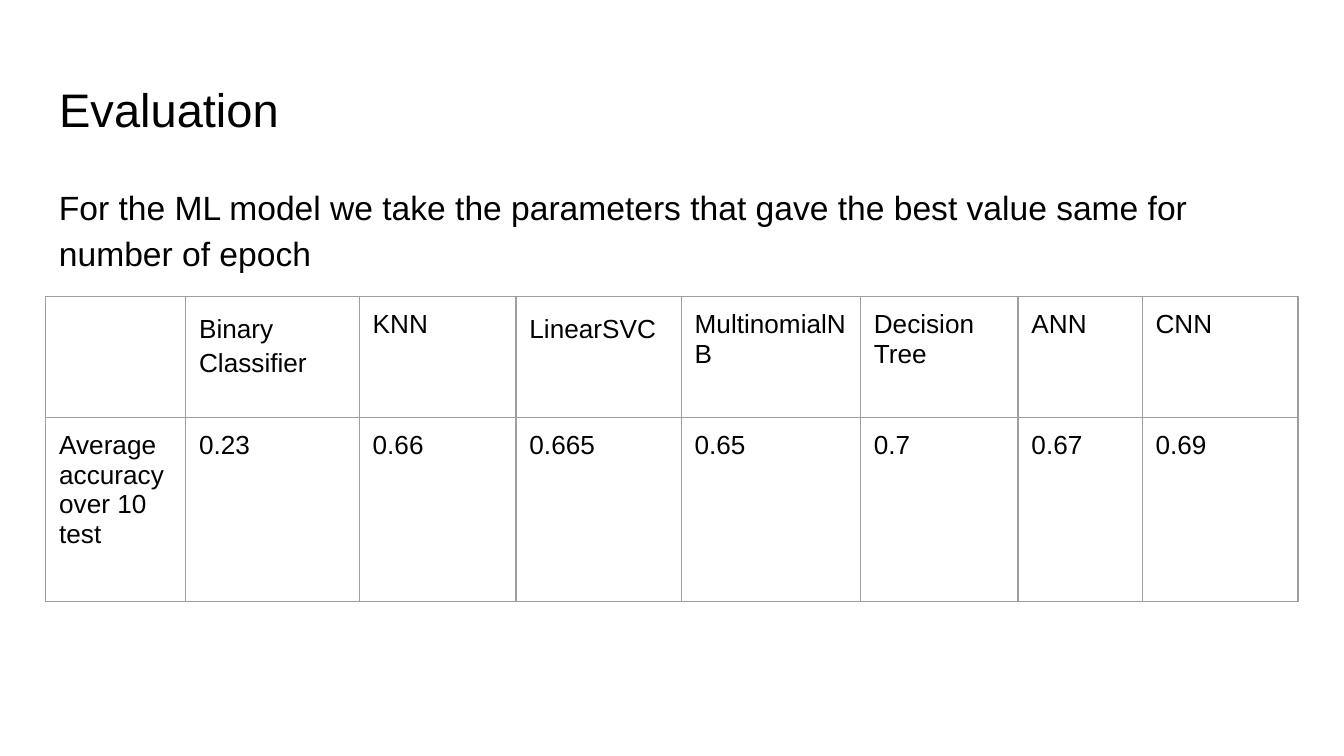
from dataclasses import dataclass

from lxml import etree
from pptx import Presentation
from pptx.dml.color import RGBColor
from pptx.enum.text import MSO_ANCHOR, MSO_AUTO_SIZE, PP_ALIGN
from pptx.oxml.ns import qn
from pptx.util import Pt

TOP = MSO_ANCHOR.TOP
BOTTOM = MSO_ANCHOR.BOTTOM
LEFT = PP_ALIGN.LEFT
NO_FIT = MSO_AUTO_SIZE.NONE
TITLE_ONLY = 5


@dataclass(frozen=True)
class Theme:
    font: str = "Arial"
    ink: str = "000000"
    rule: str = "9E9E9E"
    rule_width: float = 0.75
    title: float = 25.2
    body: float = 18
    cell: float = 14
    inset: float = 7.2
    loose: float = 1.15


class Deck:
    def __init__(self, theme):
        self.theme = theme
        self.show = Presentation()
        self.show.slide_width = Pt(720)
        self.show.slide_height = Pt(405)
        layout = self.show.slide_layouts[TITLE_ONLY]
        self.slide = self.show.slides.add_slide(layout)

    def add_run(self, para, text, size):
        para.alignment = LEFT
        run = para.add_run()
        run.text = text
        run.font.name = self.theme.font
        run.font.size = Pt(size)
        run.font.color.rgb = RGBColor.from_string(self.theme.ink)

    def pad(self, box):
        box.margin_left = box.margin_right = Pt(self.theme.inset)
        box.margin_top = box.margin_bottom = Pt(self.theme.inset)

    def frame(self, shape, anchor):
        frame = shape.text_frame
        frame.word_wrap = True
        frame.auto_size = NO_FIT
        frame.vertical_anchor = anchor
        self.pad(frame)
        return frame.paragraphs[0]

    def title(self, text, left, top, width, height):
        shape = self.slide.shapes.title
        shape.left, shape.top = Pt(left), Pt(top)
        shape.width, shape.height = Pt(width), Pt(height)
        self.add_run(self.frame(shape, BOTTOM), text, self.theme.title)

    def text(self, text, left, top, width, height):
        shape = self.slide.shapes.add_textbox(
            Pt(left), Pt(top), Pt(width), Pt(height)
        )
        para = self.frame(shape, TOP)
        para.line_spacing = self.theme.loose
        self.add_run(para, text, self.theme.body)

    def border(self, cell):
        props = cell._tc.get_or_add_tcPr()
        for index, side in enumerate(("lnL", "lnR", "lnT", "lnB")):
            line = etree.Element(qn(f"a:{side}"), w=str(Pt(self.theme.rule_width)))
            fill = etree.SubElement(line, qn("a:solidFill"))
            etree.SubElement(fill, qn("a:srgbClr"), val=self.theme.rule)
            props.insert(index, line)

    def table(self, rows, widths, heights, left, top, loose):
        table = self.slide.shapes.add_table(
            len(heights), len(widths),
            Pt(left), Pt(top), Pt(sum(widths)), Pt(sum(heights)),
        ).table
        table.first_row = False
        table.horz_banding = False
        for column, width in zip(table.columns, widths):
            column.width = Pt(width)
        for row, height, texts in zip(table.rows, heights, rows):
            row.height = Pt(height)
            for cell, text in zip(row.cells, texts):
                self.cell(cell, text, text in loose)

    def cell(self, cell, text, loose):
        self.pad(cell)
        cell.vertical_anchor = TOP
        cell.fill.background()
        self.border(cell)
        frame = cell.text_frame
        for index, line in enumerate(text.splitlines()):
            para = frame.add_paragraph() if index else frame.paragraphs[0]
            if loose:
                para.line_spacing = self.theme.loose
                para.space_after = Pt(12)
            self.add_run(para, line, self.theme.cell)


def main():
    deck = Deck(Theme())
    left, width = 24.5, 671
    deck.title("Evaluation", left, 35, width, 45.5)
    deck.text(
        "For the ML model we take the parameters that gave the best value "
        "same for number of epoch",
        left, 89.5, width, 269,
    )
    models = [
        "", "Binary Classifier", "KNN", "LinearSVC",
        "MultinomialNB", "Decision\nTree", "ANN", "CNN",
    ]
    scores = [
        "Average accuracy over 10 test",
        "0.23", "0.66", "0.665", "0.65", "0.7", "0.67", "0.69",
    ]
    deck.table(
        [models, scores],
        [75, 93, 84, 88.5, 96, 84.5, 66.5, 83.5],
        [64.8, 98.5],
        left, 159,
        {"Binary Classifier", "LinearSVC"},
    )
    deck.show.save("out.pptx")


if __name__ == "__main__":
    main()
